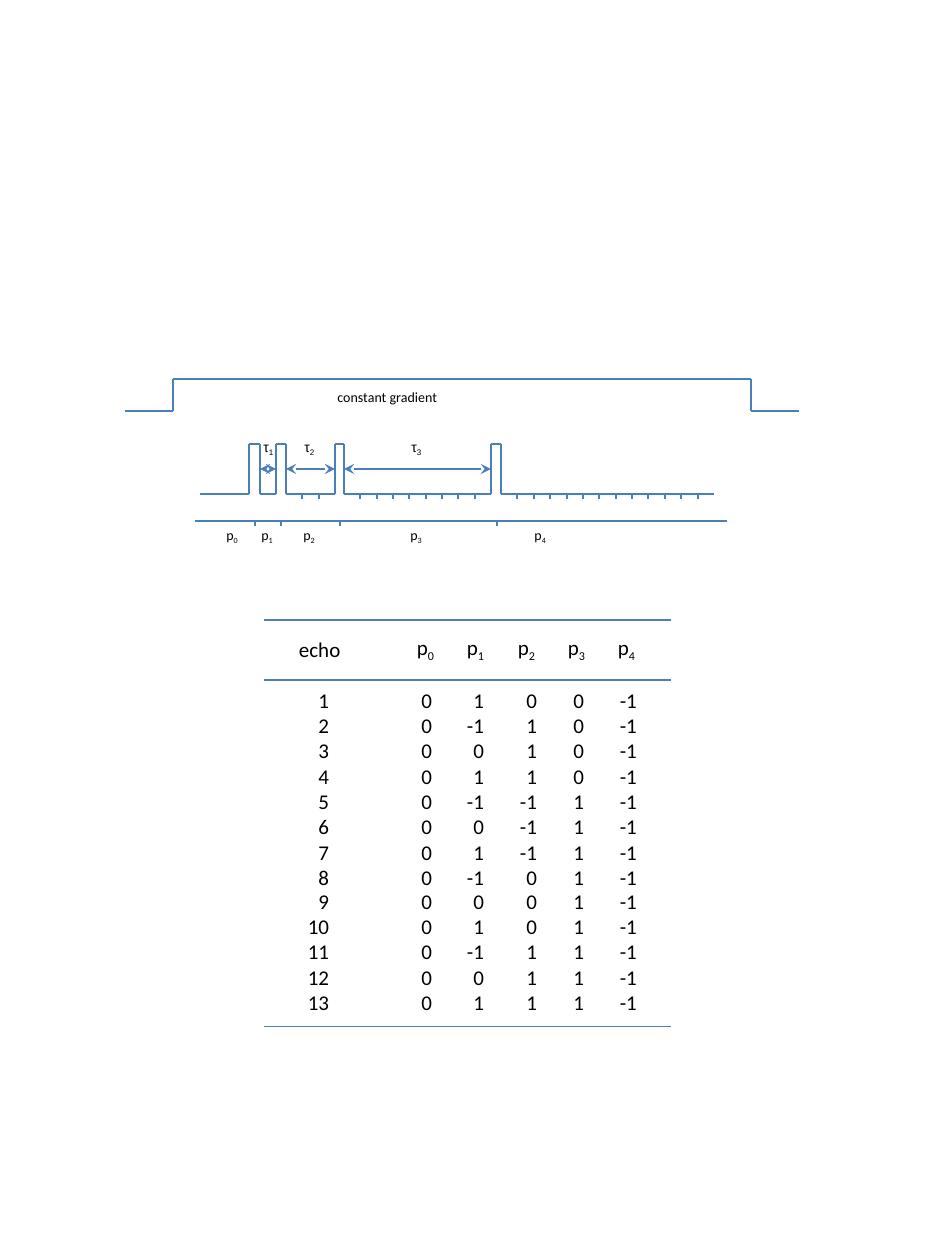
from lxml import etree
from pptx import Presentation
from pptx.dml.color import RGBColor
from pptx.enum import shapes, text
from pptx.oxml import ns
from pptx.util import Inches, Pt

BLUE = RGBColor(0x4B, 0x7E, 0xBC)
BLACK = RGBColor(0, 0, 0)
SCALE = Inches(1) // 126
PLAIN = "{2D5ABB26-0587-4C30-8999-92F81FD0307C}"

BASE, TOP = 494, 444
GAPS = [(200, 249, 1), (260, 276, 1), (286, 335, 3), (344, 491, 9), (501, 714, 13)]

HEAD = ["echo", "p0", "p1", "p2", "p3", "p4"]
EDGES = [264, 405, 455, 506, 556, 606, 671]
RIGHTS = [329, 432, 484, 537, 584, 637]
PATHS = [(1, 0, 0), (-1, 1, 0), (0, 1, 0), (1, 1, 0), (-1, -1, 1),
         (0, -1, 1), (1, -1, 1), (-1, 0, 1), (0, 0, 1), (1, 0, 1),
         (-1, 1, 1), (0, 1, 1), (1, 1, 1)]


def px(n):
    return n * SCALE


def line(slide, x1, y1, x2, y2, arrow=False):
    item = slide.shapes.add_connector(
        shapes.MSO_CONNECTOR.STRAIGHT, px(x1), px(y1), px(x2), px(y2))
    item.line.color.rgb = BLUE
    item.line.width = Pt(0.75)
    if arrow:
        for end in ("a:headEnd", "a:tailEnd"):
            etree.SubElement(item.line._ln, ns.qn(end), type="stealth")
    etree.SubElement(item._element.spPr, ns.qn("a:effectLst"))


def trace(slide, points):
    for a, b in zip(points, points[1:]):
        line(slide, *a, *b)


def write(frame, words, size, font="Calibri", sub=False):
    para = frame.paragraphs[0]
    for part in (words if sub else [words]):
        para.add_run().text = part
    for run in para.runs:
        run.font.size = Pt(size)
        run.font.name = font
        run.font.color.rgb = BLACK
    if sub:
        para.runs[1].font._element.set("baseline", "-25000")
    return para


def label(slide, x, y, w, words, font="Calibri", sub=True):
    frame = slide.shapes.add_textbox(px(x), px(y), px(w), px(30)).text_frame
    frame.word_wrap = False
    frame.auto_size = text.MSO_AUTO_SIZE.SHAPE_TO_FIT_TEXT
    write(frame, words, 8, font, sub)


def pulses(slide):
    for left, right, count in GAPS:
        stops = [round(left + (right - left) * i / count) for i in range(count + 1)]
        trace(slide, [(x, BASE) for x in stops])
        for x in stops[1:-1]:
            line(slide, x, BASE, x, 499)
    for before, after in zip(GAPS, GAPS[1:]):
        rise, fall = before[1], after[0]
        trace(slide, [(rise, BASE), (rise, TOP), (fall, TOP), (fall, BASE)])
    for left, right, _ in GAPS[1:4]:
        line(slide, left, 469, right, 469, True)
    for i, x in enumerate((251, 292, 399), 1):
        label(slide, x, 432, 37, f"τ{i}", "Arial")


def ramp(slide):
    trace(slide, [(125, 411), (173, 411), (173, 379), (751, 379), (751, 411), (799, 411)])
    label(slide, 325, 382, 127, "constant gradient", sub=False)


def axis(slide):
    line(slide, 195, 521, 727, 521)
    for x in (255, 281, 340, 497):
        line(slide, x, 521, x, 526)
    for i, x in enumerate((214, 249, 291, 398, 522)):
        label(slide, x, 520, 38, f"p{i}")


def border(cell, sides):
    prop = cell._tc.get_or_add_tcPr()
    for i, side in enumerate(sides):
        edge = etree.Element(ns.qn(f"a:ln{side}"), w=str(Pt(0.75)))
        fill = etree.SubElement(edge, ns.qn("a:solidFill"))
        etree.SubElement(fill, ns.qn("a:srgbClr"), val=str(BLUE))
        prop.insert(i, edge)


def echoes(slide):
    rows = [HEAD] + [[i, 0, *path, -1] for i, path in enumerate(PATHS, 1)]
    last = len(rows) - 1
    tops = [620, 680] + [714 + round(i * 25.25) for i in range(last - 1)] + [1027]
    frame = slide.shapes.add_table(
        len(rows), len(HEAD), px(EDGES[0]), px(tops[0]),
        px(EDGES[-1] - EDGES[0]), px(tops[-1] - tops[0]))
    table = frame.table
    table.first_row = table.horz_banding = False
    table._tbl.tblPr[0].text = PLAIN
    for c, col in enumerate(table.columns):
        col.width = px(EDGES[c + 1] - EDGES[c])
    for r, row in enumerate(table.rows):
        row.height = px(tops[r + 1] - tops[r])
        for c, cell in enumerate(row.cells):
            cell.fill.background()
            cell.margin_top = cell.margin_bottom = 0
            cell.margin_left = cell.margin_right = 0
            para = write(cell.text_frame, str(rows[r][c]), 12, sub=r == 0 and c > 0)
            if r == 0:
                cell.margin_left = px(12 if c else 35)
                cell.vertical_anchor = text.MSO_ANCHOR.MIDDLE
                border(cell, "TB")
                continue
            para.alignment = text.PP_ALIGN.RIGHT
            para.line_spacing = Pt(14)
            cell.margin_right = px(EDGES[c + 1] - RIGHTS[c])
            cell.vertical_anchor = text.MSO_ANCHOR.BOTTOM
            if r == last:
                cell.vertical_anchor = text.MSO_ANCHOR.TOP
                border(cell, "B")


def main():
    deck = Presentation()
    deck.slide_width, deck.slide_height = Inches(7.5), Inches(10)
    slide = deck.slides.add_slide(deck.slide_layouts[6])
    pulses(slide)
    ramp(slide)
    axis(slide)
    echoes(slide)
    deck.save("out.pptx")


main()
